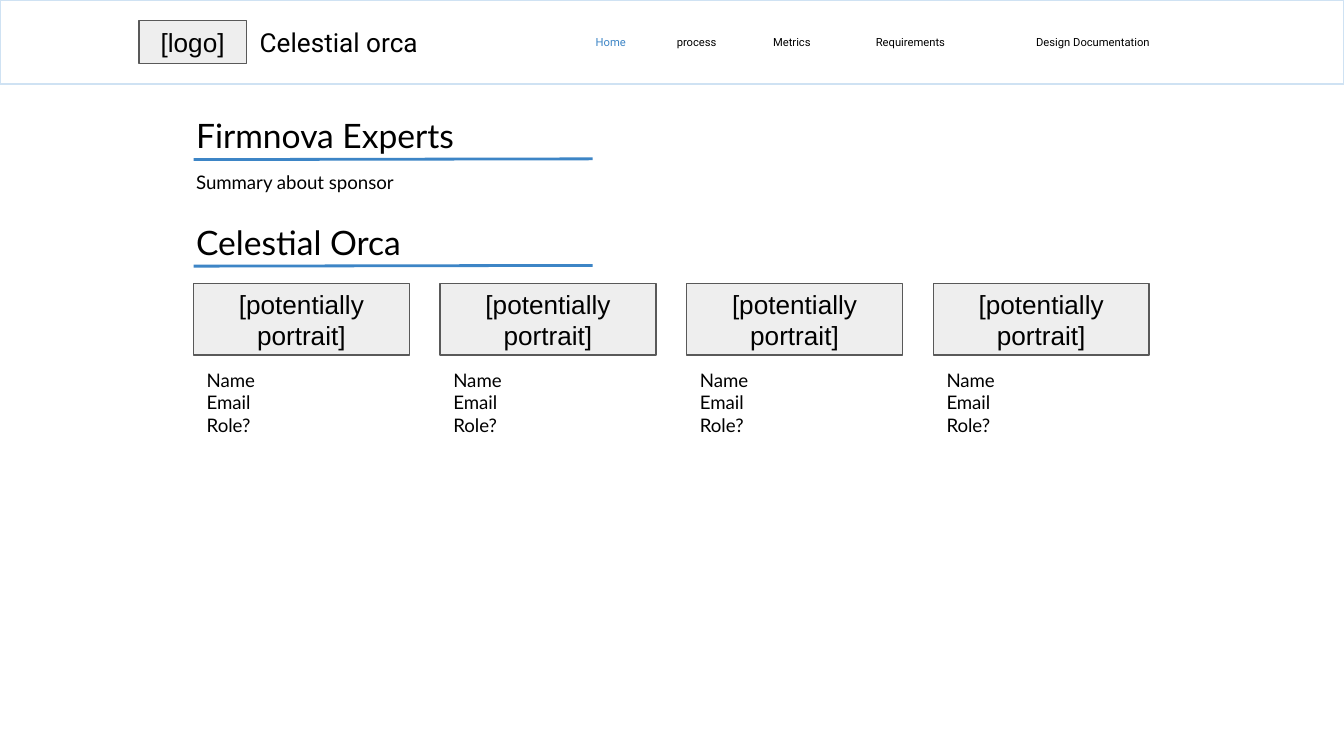
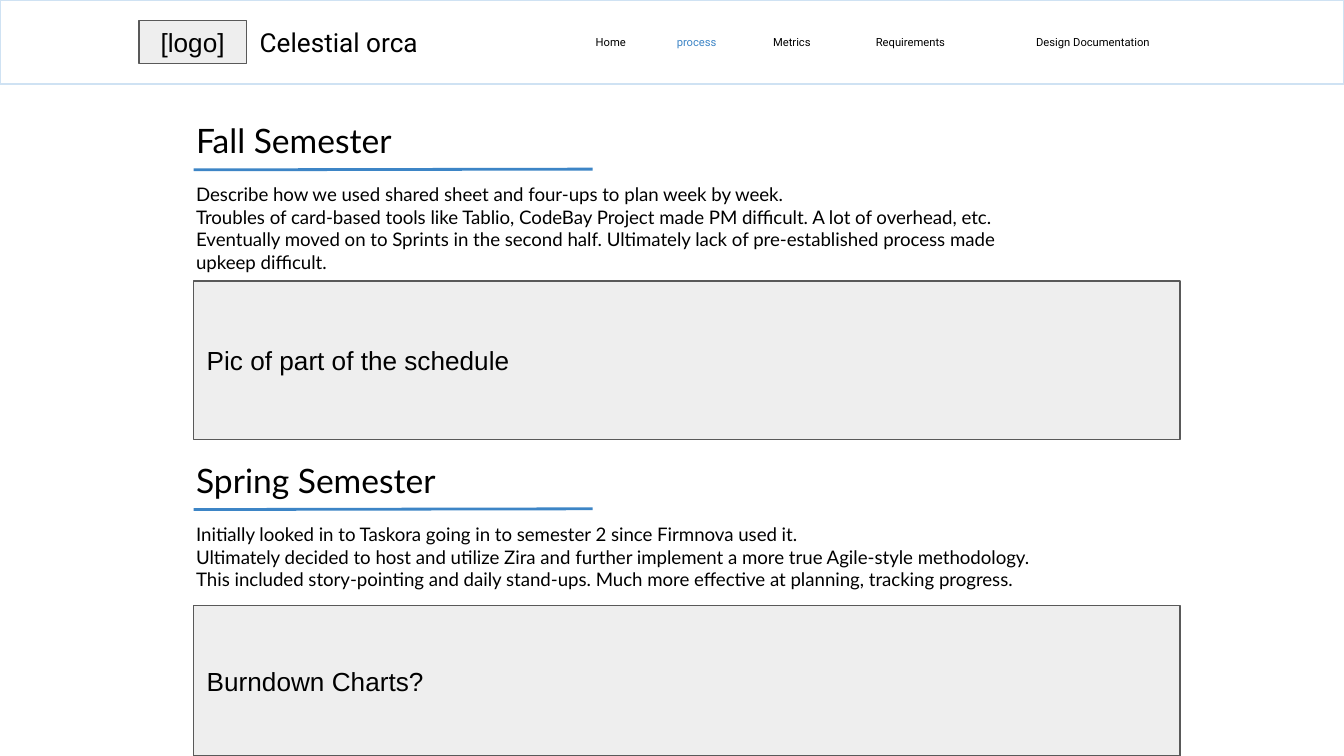
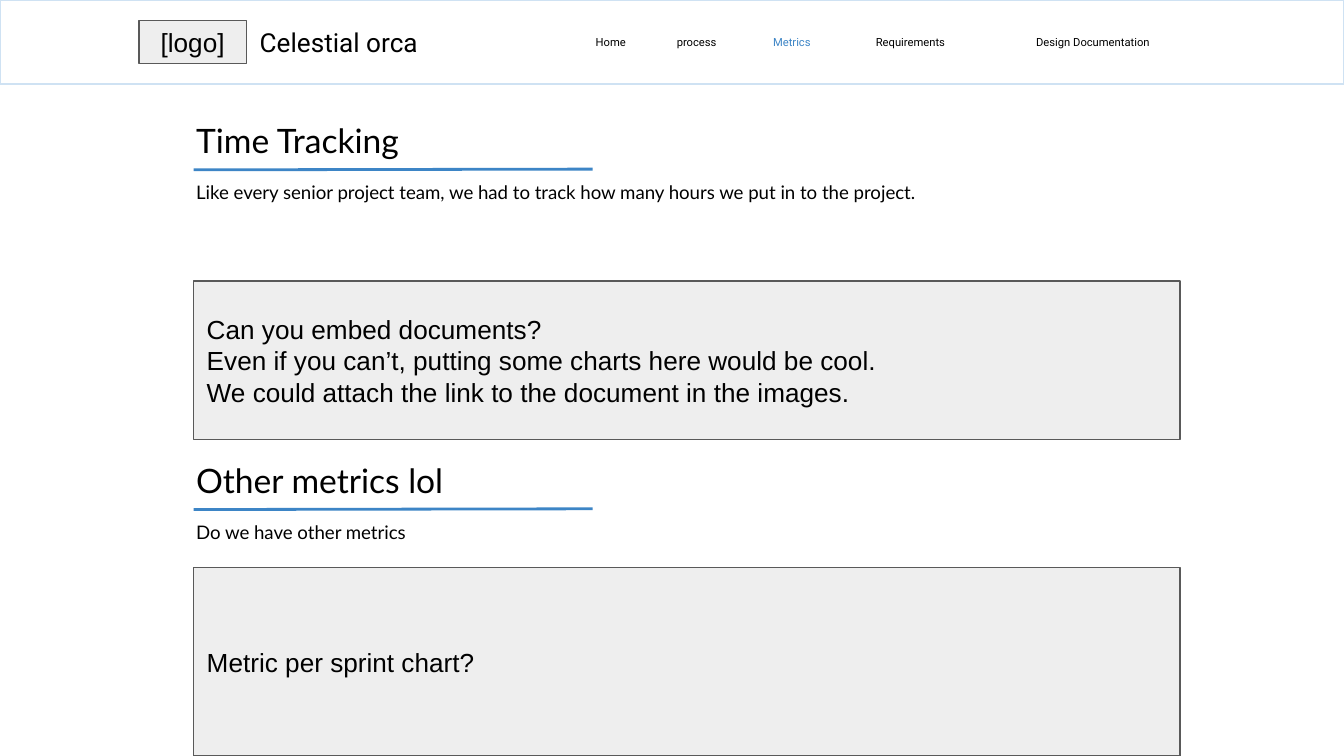
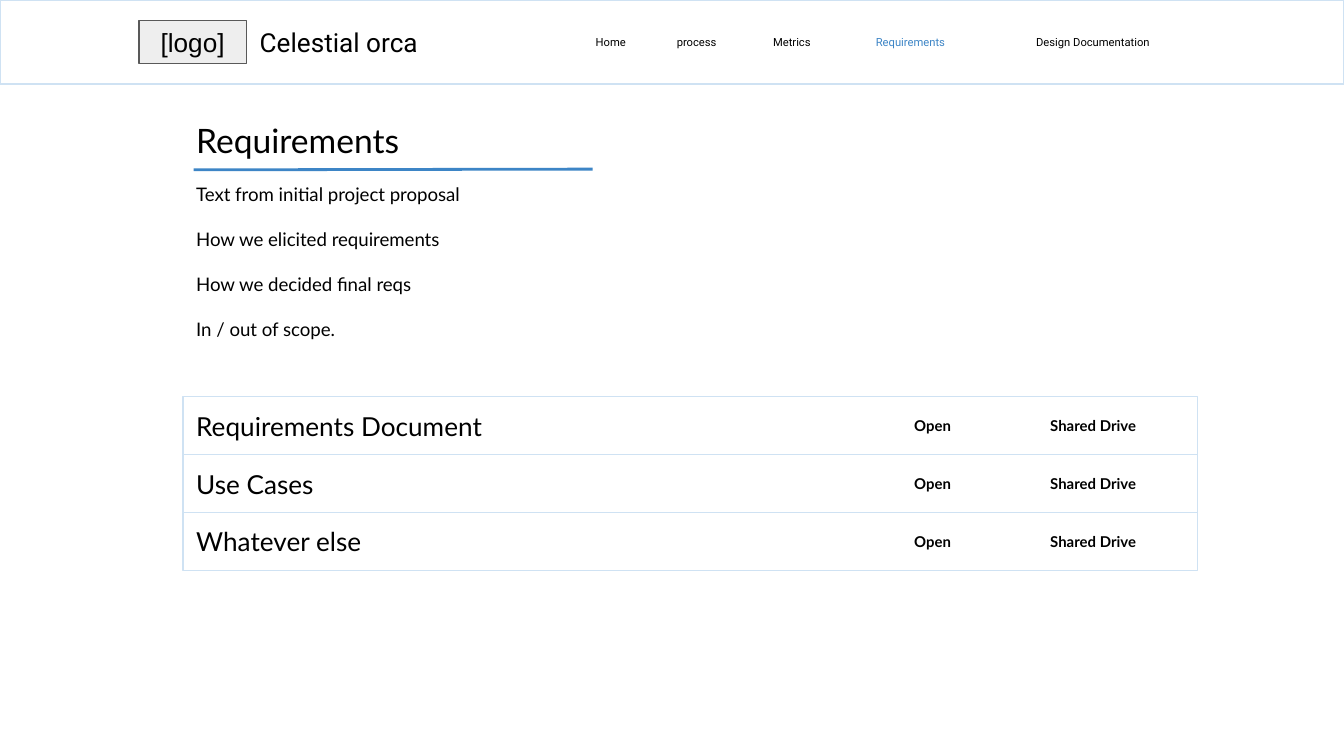
"""Build the four page mock-ups of a project website."""
from pptx import Presentation
from pptx import util as u
from pptx.dml.color import RGBColor
from pptx.enum import shapes, text
from lxml import etree

COLORS = {"ink": "000000", "accent": "3D85C6", "pale": "CFE2F3",
          "panel": "EEEEEE", "edge": "595959"}
BRAND = "Celestial orca"
MENU = [("Home", 41), ("process", 51), ("Metrics", 51),
        ("Requirements", 76), ("Design Documentation", 119.5)]

MEMBER_COUNT = 4
MEMBER_LINES = ["Name", "Email", "Role?"]
ACTIONS = ["Open", "Shared Drive"]
DOCUMENTS = ["Requirements Document", "Use Cases", "Whatever else"]

PAGES = [
    {"active": "Home", "title_width": 356.5, "rule_gap": 31, "members": True,
     "sections": [
         {"top": 54.5, "title": "Firmnova Experts", "body_height": 29.5,
          "body": ["Summary about sponsor"]},
         {"top": 111.6, "title": "Celestial Orca"}]},
    {"active": "process",
     "sections": [
         {"top": 57, "title": "Fall Semester", "body_height": 57,
          "body": ["Describe how we used shared sheet and four-ups to plan week by week.",
                   "Troubles of card-based tools like Tablio, CodeBay Project made PM "
                   "difficult. A lot of overhead, etc.",
                   "Eventually moved on to Sprints in the second half. Ultimately lack of "
                   "pre-established process made upkeep difficult."],
          "panel": (150.5, 85, ["Pic of part of the schedule"])},
         {"top": 239, "title": "Spring Semester", "body_height": 49,
          "body": ["Initially looked in to Taskora going in to semester 2 since Firmnova used it.",
                   "Ultimately decided to host and utilize Zira and further implement a more "
                   "true Agile-style methodology. This included story-pointing and daily "
                   "stand-ups. Much more effective at planning, tracking progress."],
          "panel": (324.5, 80.5, ["Burndown Charts?"])}]},
    {"active": "Metrics",
     "sections": [
         {"top": 57, "title": "Time Tracking", "body_height": 57,
          "body": ["Like every senior project team, we had to track how many hours "
                   "we put in to the project."],
          "panel": (150.5, 85, ["Can you embed documents?",
                                "Even if you can’t, putting some charts here would be cool.",
                                "We could attach the link to the document in the images."])},
         {"top": 239, "title": "Other metrics lol", "body_height": 49,
          "body": ["Do we have other metrics"],
          "panel": (304, 101, ["Metric per sprint chart?"])}]},
    {"active": "Requirements", "documents": True,
     "sections": [
         {"top": 57, "title": "Requirements", "body_height": 57, "gap": 12,
          "body": ["Text from initial project proposal", "How we elicited requirements",
                   "How we decided final reqs", "In / out of scope."]}]},
]

PAGE_WIDTH, PAGE_HEIGHT = 720, 405
BAND_HEIGHT = 45
TAG_TOP, TAG_HEIGHT = 11, 23
MENU_LEFT = 306.7
TEXT_LEFT, PANEL_LEFT = 98, 103.7
PANEL_WIDTH = 528.5
BODY_WIDTH = 472.5
RULE_WIDTH, RULE_RISE = 213.8, 0.4
MEMBER_TOP, MEMBER_WIDTH, MEMBER_HEIGHT, MEMBER_PITCH = 152, 115.6, 38.3, 132.1
ROW_TOP, ROW_WIDTH, ROW_HEIGHT = 212.6, 543.5, 31
ACTION_LEFT, ACTION_WIDTH, ACTION_HEIGHT = 456.7, 86, 18.5


def color(name):
    return RGBColor.from_string(COLORS[name])


def write(box, lines, size=14, font="Arial", ink="ink", bold=False,
          center=False, middle=True, gap=0):
    frame = box.text_frame
    frame.word_wrap = True
    frame.vertical_anchor = text.MSO_ANCHOR.MIDDLE if middle else text.MSO_ANCHOR.TOP
    frame.margin_left = frame.margin_right = u.Pt(7.2)
    frame.margin_top = frame.margin_bottom = u.Pt(7.2)
    for index, line in enumerate(lines):
        para = frame.paragraphs[0] if index == 0 else frame.add_paragraph()
        para.alignment = text.PP_ALIGN.CENTER if center else text.PP_ALIGN.LEFT
        para.space_before = u.Pt(gap if index else 0)
        span = para.add_run()
        span.text = line
        span.font.size = u.Pt(size)
        span.font.name = font
        span.font.bold = bold
        span.font.color.rgb = color(ink)


def add_label(page, place, lines, **style):
    write(page.shapes.add_textbox(*map(u.Pt, place)), lines, **style)


def add_box(page, place, lines=(), fill=None, line="pale", **style):
    box = page.shapes.add_shape(shapes.MSO_SHAPE.RECTANGLE, *map(u.Pt, place))
    box.shadow.inherit = False
    if fill:
        box.fill.solid()
        box.fill.fore_color.rgb = color(fill)
    else:
        box.fill.background()
    box.line.color.rgb = color(line)
    box.line.width = u.Pt(0.75)
    write(box, lines, **style)


def add_panel(page, place, lines, **style):
    add_box(page, place, lines, fill="panel", line="edge", **style)


def add_rule(page, top):
    ends = PANEL_LEFT, top, PANEL_LEFT + RULE_WIDTH, top - RULE_RISE
    rule = page.shapes.add_connector(shapes.MSO_CONNECTOR.STRAIGHT, *map(u.Pt, ends))
    rule.line.color.rgb = color("accent")
    rule.line.width = u.Pt(1.5)
    properties = rule.line._get_or_add_ln().getparent()
    namespace = etree.QName(properties[0]).namespace
    etree.SubElement(properties, f"{{{namespace}}}effectLst")


def add_header(page, active):
    add_box(page, (0, 0, PAGE_WIDTH, BAND_HEIGHT))
    left = MENU_LEFT
    for name, width in MENU:
        add_label(page, (left, TAG_TOP, width, TAG_HEIGHT), [name], size=6, font="Roboto",
                  ink="accent" if name == active else "ink", center=True)
        left += width
    add_panel(page, (74.5, TAG_TOP, 57.5, TAG_HEIGHT), ["[logo]"], center=True)
    add_label(page, (132, TAG_TOP, 175, TAG_HEIGHT), [BRAND], font="Roboto")


def add_section(page, section, title_width, rule_gap):
    top = section["top"]
    rule_top = top + rule_gap
    add_label(page, (TEXT_LEFT, top, title_width, 31), [section["title"]],
              size=18, font="Lato", middle=False)
    if "body" in section:
        add_label(page, (TEXT_LEFT, rule_top, BODY_WIDTH, section["body_height"]),
                  section["body"], size=10, font="Lato", middle=False,
                  gap=section.get("gap", 0))
    add_rule(page, rule_top)
    if "panel" in section:
        panel_top, height, lines = section["panel"]
        add_panel(page, (PANEL_LEFT, panel_top, PANEL_WIDTH, height), lines)


def add_members(page):
    for index in range(MEMBER_COUNT):
        left = PANEL_LEFT + index * MEMBER_PITCH
        add_label(page, (left, MEMBER_TOP + MEMBER_HEIGHT, MEMBER_WIDTH, MEMBER_HEIGHT),
                  MEMBER_LINES, size=10, font="Lato", middle=False)
        add_panel(page, (left, MEMBER_TOP, MEMBER_WIDTH, MEMBER_HEIGHT),
                  ["[potentially portrait]"], center=True)


def add_documents(page):
    for row, name in enumerate(DOCUMENTS):
        top = ROW_TOP + row * ROW_HEIGHT
        add_box(page, (TEXT_LEFT, top, ROW_WIDTH, ROW_HEIGHT), [name], font="Lato")
        action_top = top + (ROW_HEIGHT - ACTION_HEIGHT) / 2
        for column, action in enumerate(ACTIONS):
            left = ACTION_LEFT + column * ACTION_WIDTH
            add_label(page, (left, action_top, ACTION_WIDTH, ACTION_HEIGHT), [action],
                      size=8, font="Lato", bold=True, center=True)


def main():
    deck = Presentation()
    deck.slide_width, deck.slide_height = u.Pt(PAGE_WIDTH), u.Pt(PAGE_HEIGHT)
    for content in PAGES:
        page = deck.slides.add_slide(deck.slide_layouts[6])
        add_header(page, content["active"])
        for section in content["sections"]:
            add_section(page, section, content.get("title_width", 314),
                        content.get("rule_gap", 34))
        if content.get("members"):
            add_members(page)
        if content.get("documents"):
            add_documents(page)
    deck.save("out.pptx")


if __name__ == "__main__":
    main()
